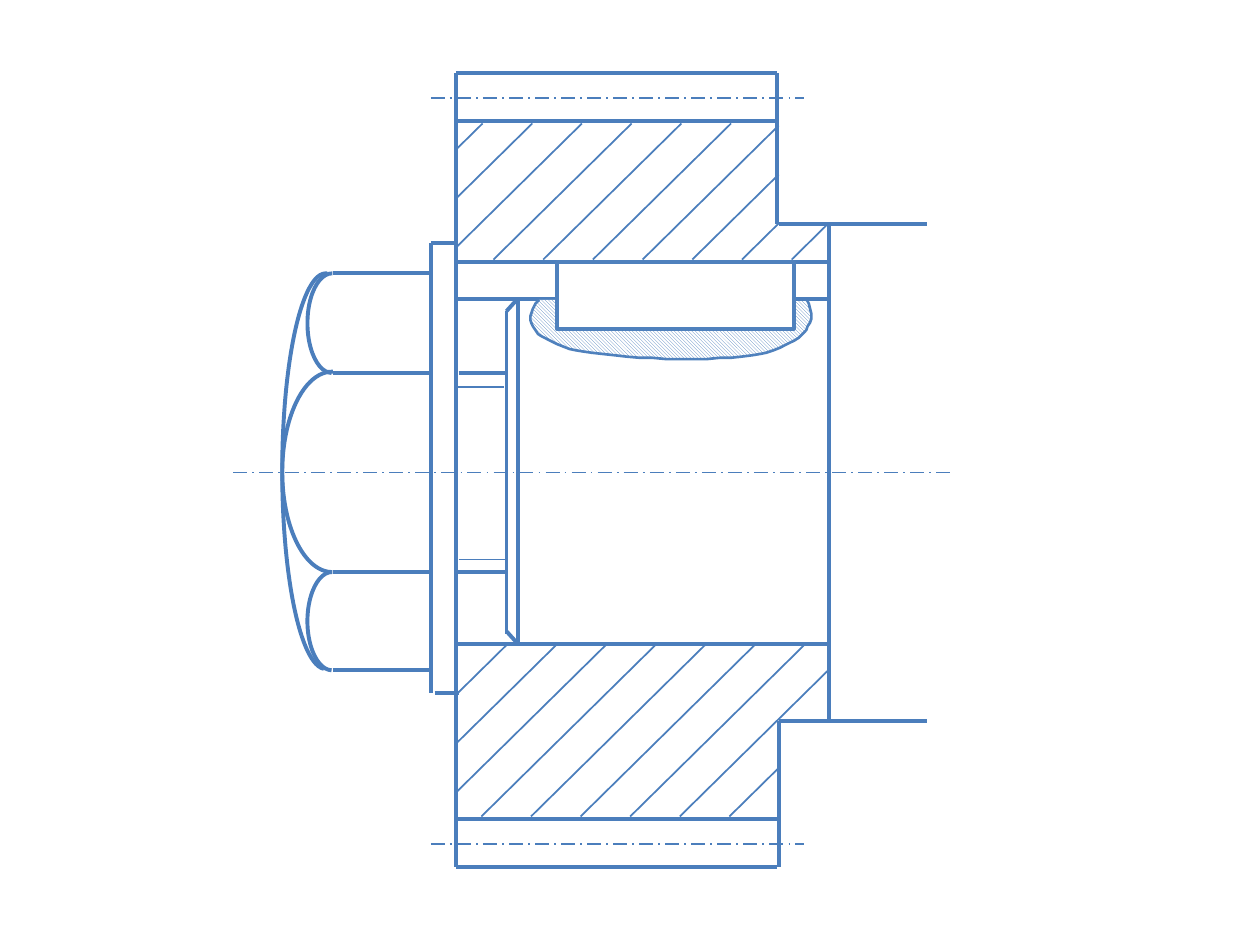
"""Draw a sectioned gear fixed to a shaft by a key, a washer and a hexagon nut."""
from typing import NamedTuple

from lxml.etree import SubElement
from pptx import Presentation
from pptx.dml.color import RGBColor
from pptx.enum.dml import MSO_LINE, MSO_PATTERN_TYPE
from pptx.enum.shapes import MSO_CONNECTOR, MSO_SHAPE
from pptx.oxml.ns import qn
from pptx.util import Inches, Pt

COLORS = {"outline": "4B7EBC", "key": "4F81BD", "paper": "FFFFFF"}
THICK, MEDIUM, THIN = 2.25, 1.5, 1
LEFT, GEAR_RIGHT, HUB_RIGHT = 3.62, 6.18, 6.58
HATCH_SLOPE = 0.985


class Segment(NamedTuple):
    x1: float
    y1: float
    x2: float
    y2: float
    width: float = THICK
    dash: MSO_LINE | None = None


class Box(NamedTuple):
    left: float
    top: float
    width: float
    height: float


class HatchBand(NamedTuple):
    top: float
    bottom: float
    first: float
    last: float
    rights: tuple[float, ...]


WASHER = [
    Segment(3.42, 1.93, 3.42, 5.5),
    Segment(3.42, 1.93, 3.62, 1.93),
    Segment(3.45, 5.5, 3.64, 5.5),
]
NUT_EDGES = [Segment(2.64, y, 3.42, y) for y in (2.17, 2.96, 4.54, 5.32)]
THREAD = [
    Segment(3.64, 2.96, 4.01, 2.96),
    Segment(3.63, 3.07, 4, 3.07, THIN),
    Segment(3.64, 4.44, 4.01, 4.44, THIN),
    Segment(3.63, 4.54, 4.01, 4.54),
]
SHAFT = [
    Segment(4.02, 5.03, 4.02, 2.47),
    Segment(4.11, 2.37, 4.02, 2.47),
    Segment(4.11, 5.11, 4.02, 5.01),
    Segment(3.62, 2.37, 4.51, 2.37),
    Segment(6.58, 5.72, 6.58, 1.78),
    Segment(6.18, 1.78, 7.36, 1.78),
    Segment(6.18, 5.72, 7.36, 5.72),
]
GEAR = [
    Segment(3.62, 6.88, 3.62, 0.58),
    Segment(6.17, 1.78, 6.17, 0.58),
    Segment(6.18, 6.88, 6.18, 5.72),
    *(Segment(3.62, y, 6.17, y) for y in (0.58, 0.96, 6.5, 6.88)),
    *(Segment(3.62, y, 6.57, y) for y in (2.08, 5.11)),
]
CENTER_LINES = [
    Segment(left, y, right, y, THIN, MSO_LINE.LONG_DASH_DOT)
    for left, y, right in ((3.42, 0.78, 6.38), (1.85, 3.75, 7.56), (3.42, 6.7, 6.38))
]
HATCH_BANDS = [
    HatchBand(0.98, 2.06, 3.83, 7.38, (GEAR_RIGHT,) * 9 + (HUB_RIGHT,)),
    HatchBand(5.12, 6.48, 4.02, 7.17, (HUB_RIGHT,) * 8 + (GEAR_RIGHT,)),
]
NUT_ARCS = [
    Box(2.44, 2.17, 0.39, 0.79),
    Box(2.44, 4.54, 0.39, 0.78),
    Box(2.24, 2.17, 0.69, 3.14),
    Box(2.24, 2.95, 0.79, 1.59),
]
KEYWAY_UNITS_PER_INCH = 100
KEYWAY_CURVES = [
    ((428, 238), (410, 256), (428, 271), (457, 278)),
    ((457, 278), (486, 285), (572, 288), (603, 281)),
    ((603, 281), (633, 274), (652, 260), (640, 237)),
]
SEAT_EDGES = [Segment(4.11, 5.1, 4.11, 2.37), Segment(5.79, 2.37, 6.58, 2.37)]
KEY = Box(4.42, 2.08, 1.88, 0.53)


def rgb(name: str) -> RGBColor:
    return RGBColor.from_string(COLORS[name])


def format_line(line, color: str, width: float, dash: MSO_LINE | None = None) -> None:
    line.color.rgb = rgb(color)
    for name, value in {"width": Pt(width), "dash_style": dash}.items():
        setattr(line, name, value)


def draw_segments(shapes, segments: list[Segment]) -> None:
    for segment in segments:
        ends = (Inches(value) for value in segment[:4])
        connector = shapes.add_connector(MSO_CONNECTOR.STRAIGHT, *ends)
        format_line(connector.line, "outline", segment.width, segment.dash)
        SubElement(connector._element.spPr, qn("a:effectLst"))


def hatch_segments(band: HatchBand) -> list[Segment]:
    """Slanted lines at an equal pitch, clipped to the sides of the band."""
    pitch = (band.last - band.first) / (len(band.rights) - 1)
    segments = []
    for index, right in enumerate(band.rights):
        top_x = band.first + index * pitch
        start = min(top_x, right)
        end = max(top_x - (band.bottom - band.top) / HATCH_SLOPE, LEFT)
        start_y, end_y = (band.top + (top_x - x) * HATCH_SLOPE for x in (start, end))
        segments.append(Segment(start, start_y, end, end_y, THIN))
    return segments


def draw_shape(shapes, kind: MSO_SHAPE, box: Box, color: str):
    shape = shapes.add_shape(kind, *(Inches(value) for value in box))
    shape.shadow.inherit = False
    format_line(shape.line, color, THICK)
    return shape


def draw_nut_arc(shapes, box: Box) -> None:
    arc = draw_shape(shapes, MSO_SHAPE.ARC, box, "outline")
    arc.fill.background()
    arc.adjustments[0], arc.adjustments[1] = 54.31, 162.28


def curve_points(curve, steps: int = 16) -> list[tuple[float, float]]:
    """Points along a cubic curve, without its start."""
    points = []
    for step in range(1, steps + 1):
        t = step / steps
        weights = ((1 - t) ** 3, 3 * t * (1 - t) ** 2, 3 * t * t * (1 - t), t ** 3)
        points.append(tuple(sum(w * p[axis] for w, p in zip(weights, curve)) for axis in (0, 1)))
    return points


def draw_keyway(shapes) -> None:
    scale = Inches(1) / KEYWAY_UNITS_PER_INCH
    builder = shapes.build_freeform(*KEYWAY_CURVES[0][0], scale=scale)
    points = [point for curve in KEYWAY_CURVES for point in curve_points(curve)]
    builder.add_line_segments(points, close=False)
    keyway = builder.convert_to_shape()
    keyway.shadow.inherit = False
    keyway.fill.patterned()
    keyway.fill.pattern = MSO_PATTERN_TYPE.LIGHT_DOWNWARD_DIAGONAL
    keyway.fill.fore_color.rgb = rgb("key")
    keyway.fill.back_color.rgb = rgb("paper")
    format_line(keyway.line, "key", MEDIUM)


def main() -> None:
    presentation = Presentation()
    presentation.slide_width, presentation.slide_height = Inches(10), Inches(7.5)
    shapes = presentation.slides.add_slide(presentation.slide_layouts[6]).shapes
    for part in (WASHER, NUT_EDGES, THREAD, SHAFT, GEAR, CENTER_LINES):
        draw_segments(shapes, part)
    for band in HATCH_BANDS:
        draw_segments(shapes, hatch_segments(band))
    for box in NUT_ARCS:
        draw_nut_arc(shapes, box)
    draw_keyway(shapes)
    draw_segments(shapes, SEAT_EDGES)
    key = draw_shape(shapes, MSO_SHAPE.RECTANGLE, KEY, "key")
    key.fill.solid()
    key.fill.fore_color.rgb = rgb("paper")
    presentation.save("out.pptx")


if __name__ == "__main__":
    main()
